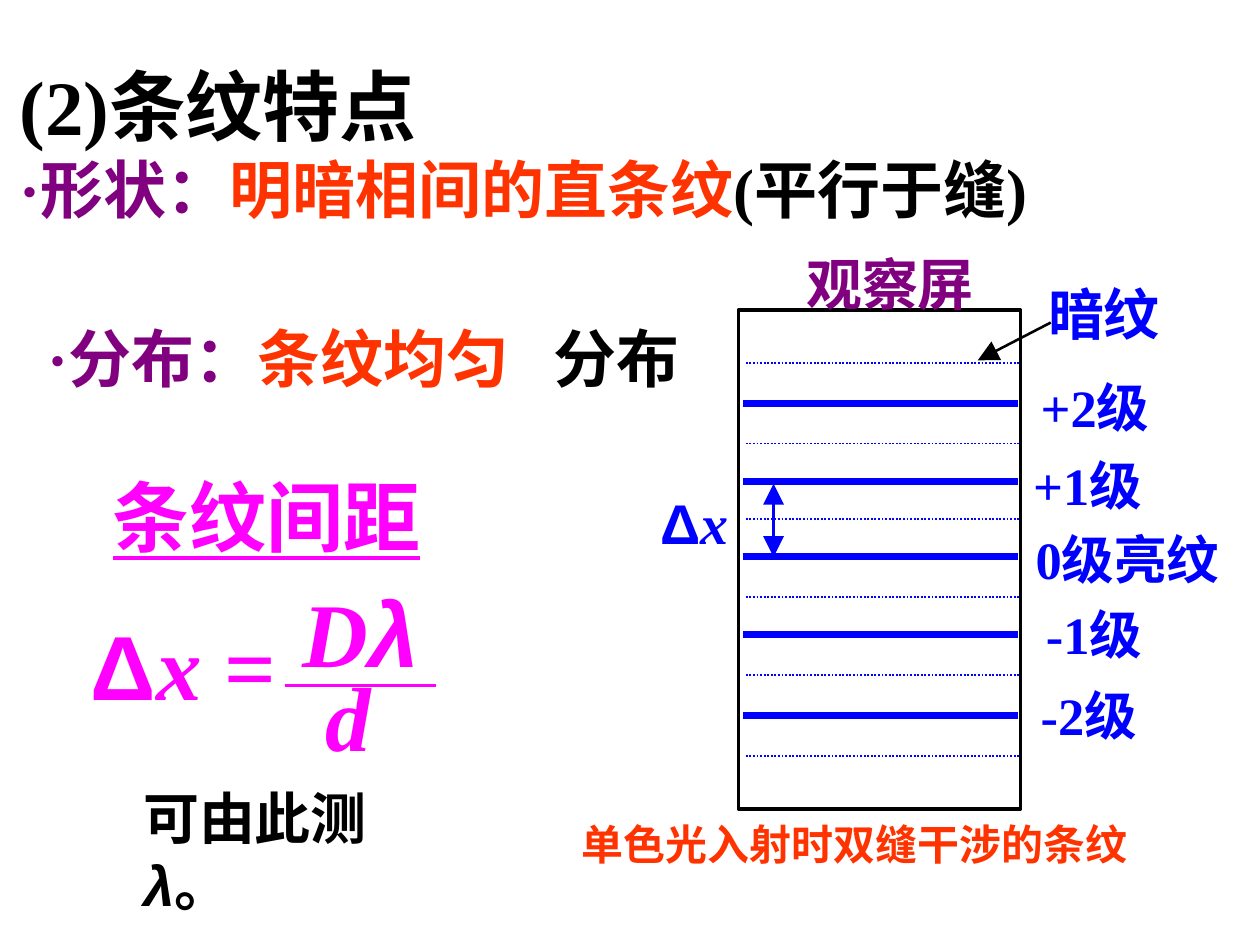
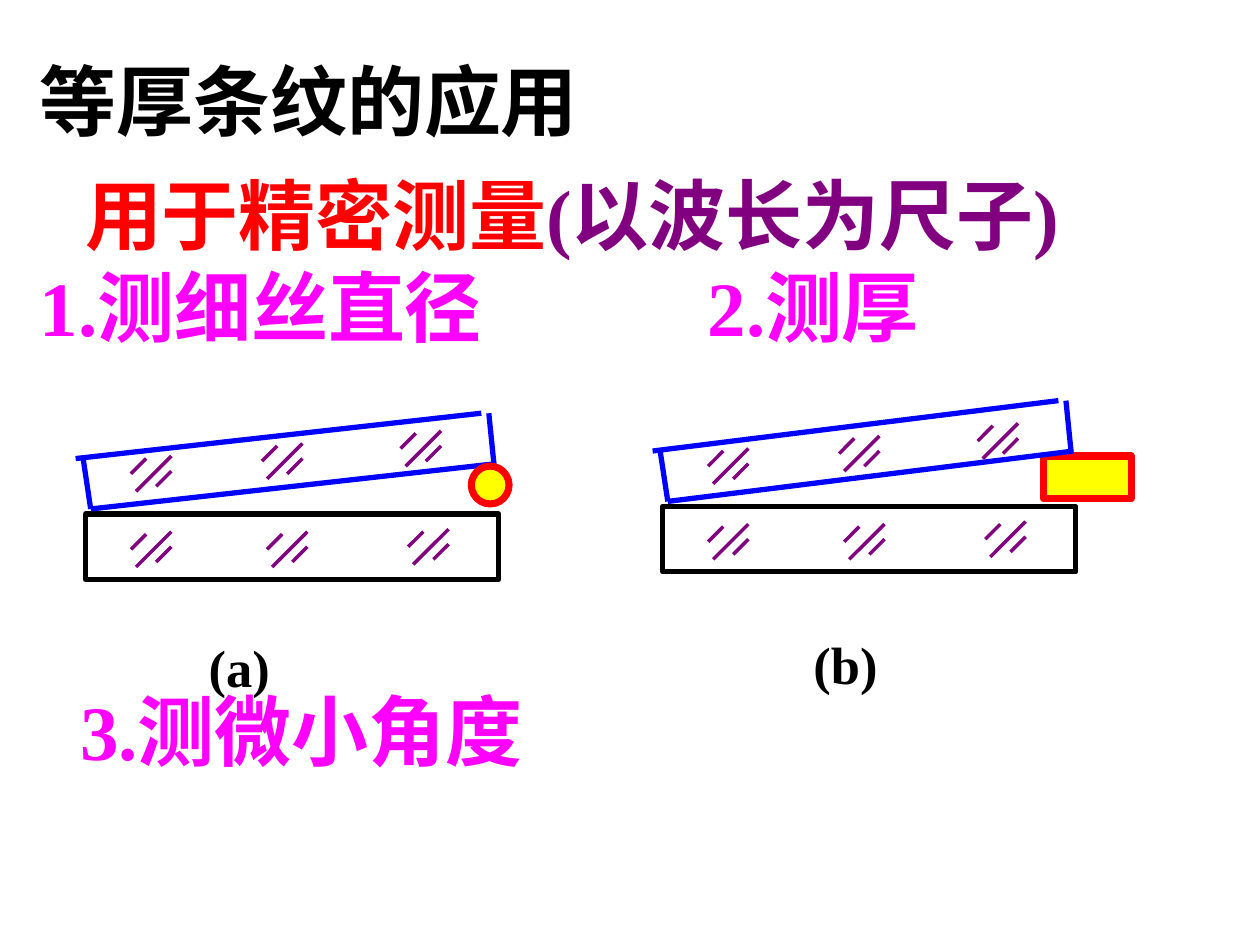
from lxml.etree import SubElement
from pptx import Presentation
from pptx.dml.color import RGBColor as Rgb
from pptx.enum.dml import MSO_LINE as Dash
from pptx.enum.shapes import MSO_CONNECTOR as Conn, MSO_SHAPE as Kind
from pptx.enum.text import MSO_ANCHOR as Anchor
from pptx.oxml.ns import qn
from pptx.util import Pt

PX = 9144
INK = {
    "black": "000000", "blue": "0000FF", "pink": "FF00FF", "plum": "800080",
    "orange": "FF3300", "red": "FF0000", "yellow": "FFFF00",
}
SERIF, SANS = "Times New Roman", "Arial"
GREEK = {"name": SANS}
SLANT = {"italic": True}
HATCH = [(6, 1, 0, 7), (16, 6, 10, 12), (16, 0, 2, 14)]


class Pen:
    """Holds the deck style and draws on the current slide."""

    def __init__(self, wide, high):
        self.deck = Presentation()
        self.deck.slide_width, self.deck.slide_height = wide * PX, high * PX

    def page(self):
        self.shapes = self.deck.slides.add_slide(self.deck.slide_layouts[6]).shapes

    def box(self, x, y, w, h, pad=(10, 5), mid=False):
        frame = self.shapes.add_textbox(x * PX, y * PX, w * PX, h * PX).text_frame
        frame.word_wrap = True
        frame.margin_left = frame.margin_right = pad[0] * PX
        frame.margin_top = frame.margin_bottom = pad[1] * PX
        frame.vertical_anchor = Anchor.MIDDLE if mid else Anchor.TOP
        return frame

    def para(self, frame, size, ink, *runs, tab=0, left=0, gap=0):
        first = frame.paragraphs[0]
        par = frame.add_paragraph() if first.runs else first
        if tab or left:
            prop = par._p.get_or_add_pPr()
            if left:
                prop.set("marL", str(left * PX))
                prop.set("indent", "0")
            if tab:
                stops = SubElement(prop, qn("a:tabLst"))
                SubElement(stops, qn("a:tab"), pos=str(tab * PX), algn="l")
        if gap:
            par.space_before = Pt(gap)
        font = par.font
        font.size, font.bold, font.name = Pt(size), True, SERIF
        font.color.rgb = Rgb.from_string(INK[ink])
        for words, change in runs:
            run = par.add_run()
            run.text = words
            for key, value in change.items():
                if key == "ink":
                    run.font.color.rgb = Rgb.from_string(INK[value])
                else:
                    setattr(run.font, key, value)

    def label(self, x, y, w, h, size, ink, *runs, pad=(1, 1), mid=False):
        runs = [(run, {}) if isinstance(run, str) else run for run in runs]
        self.para(self.box(x, y, w, h, pad, mid), size, ink, *runs)

    def line(self, x1, y1, x2, y2, ink, width, dash=None, ends=()):
        wire = self.shapes.add_connector(
            Conn.STRAIGHT, x1 * PX, y1 * PX, x2 * PX, y2 * PX)
        wire.line.color.rgb = Rgb.from_string(INK[ink])
        wire.line.width = Pt(width)
        if dash:
            wire.line.dash_style = dash
        for end in ends:
            SubElement(wire.line._get_or_add_ln(), qn(f"a:{end}End"), type="triangle")
        SubElement(wire._element.spPr, qn("a:effectLst"))

    def shape(self, kind, x, y, w, h, ink, width, fill=None):
        form = self.shapes.add_shape(kind, x * PX, y * PX, w * PX, h * PX)
        form.shadow.inherit = False
        form.line.color.rgb = Rgb.from_string(INK[ink])
        form.line.width = Pt(width)
        if fill:
            form.fill.solid()
            form.fill.fore_color.rgb = Rgb.from_string(INK[fill])
        else:
            form.fill.background()

    def wedge(self, x, y, rise):
        self.shape(Kind.RECTANGLE, x, y, 164, 26, "black", 1.5)
        low, top = y - 2, y - 22
        edges = [
            (2, low, 163, low - rise), (-4, top, 157, top - rise),
            (160, top - rise, 162, low - rise), (-1, top, 2, low),
        ]
        for x1, y1, x2, y2 in edges:
            self.line(x + x1, y1, x + x2, y2, "blue", 1.5)
        marks = [(18, -23), (70, -28), (125, -33), (18, 7), (72, 7), (128, 6)]
        for dx, dy in marks:
            for x1, y1, x2, y2 in HATCH:
                self.line(x + dx + x1, y + dy + y1, x + dx + x2, y + dy + y2, "plum", 1)


def formula(pen):
    pen.label(119, 228, 89, 51, 26, "pink", ("D", SLANT), ("λ", GREEK | SLANT))
    pen.label(128, 261, 51, 45, 26, "pink", ("d", SLANT))
    pen.line(113, 272, 173, 272, "pink", 0.75)
    pen.label(35, 241, 89, 38, 26, "pink", ("Δ", GREEK), ("x", SLANT), " =")


def screen(pen):
    pen.shape(Kind.RECTANGLE, 293, 123, 112, 198, "black", 1)
    orders = [
        (160, 412, 148, "+2级"), (191, 409, 179, "+1级"), (221, 410, 208, "0级亮纹"),
        (252, 414, 238, "-1级"), (284, 412, 270, "-2级"),
    ]
    for y, x, top, name in orders:
        pen.line(295, y, 404, y, "blue", 2)
        pen.label(x, top, 85, 36, 15, "blue", name)
    for y in (144, 176, 206, 237, 268, 300):
        pen.line(296, y, 405, y, "blue", 0.5, Dash.ROUND_DOT)
    pen.line(307, 192, 307, 221, "blue", 0.75, ends=("head", "tail"))
    pen.label(261, 193, 37, 35, 16, "blue", ("Δ", GREEK), ("x", SLANT))
    pen.label(319, 98, 93, 37, 16, "plum", "观察屏")
    pen.line(388, 143, 417, 128, "black", 0.75, ends=("head",))
    pen.label(415, 110, 60, 28, 16, "blue", "暗纹")
    pen.label(221, 320, 289, 46, 12, "orange", "单色光入射时双缝干涉的条纹", pad=(10, 5))


def fringes(pen):
    pen.page()
    formula(pen)
    screen(pen)
    head = pen.box(-2, 18, 460, 77, mid=True)
    pen.para(head, 22, "black", ("(2)条纹特点", {}))
    pen.para(head, 18, "plum", ("·形状：", {}), ("明暗相间的直条纹", {"ink": "orange"}),
             ("(平行于缝)", {"ink": "black"}))
    spread = pen.box(9, 122, 284, 40, mid=True)
    pen.para(spread, 18, "plum", ("·分布：", {}), ("条纹均匀", {"ink": "orange"}),
             ("\t分布", {"ink": "black"}), tab=201)
    pen.label(35, 181, 163, 47, 22, "pink", ("条纹间距", {"underline": True}),
              pad=(10, 5), mid=True)
    pen.label(47, 306, 141, 37, 16, "black", "可由此测", ("λ", GREEK | SLANT), "。",
              pad=(10, 5))


def uses(pen):
    pen.page()
    head = pen.box(6, 16, 470, 129, mid=True)
    pen.para(head, 22, "black", ("等厚条纹的应用", {}))
    pen.para(head, 22, "red", ("用于精密测量", {}), ("(以波长为尺子)", {"ink": "plum"}),
             left=18, gap=6)
    pen.para(head, 22, "pink", ("1.测细丝直径\t2.测厚", {}), tab=265)
    pen.shape(Kind.RECTANGLE, 414, 181, 35, 17, "red", 2, "yellow")
    pen.wedge(263, 201, 20)
    pen.wedge(34, 204, 18)
    pen.shape(Kind.OVAL, 187, 185, 15, 15, "red", 2, "yellow")
    for x, y, name in [(73, 247, "(a)"), (313, 246, "(b)")]:
        pen.label(x, y, 67, 44, 15, "black", name, pad=(10, 5))
    pen.label(22, 266, 210, 47, 22, "pink", "3.测微小角度", pad=(10, 5), mid=True)


def main():
    pen = Pen(500, 375)
    fringes(pen)
    uses(pen)
    pen.deck.save("out.pptx")


if __name__ == "__main__":
    main()
